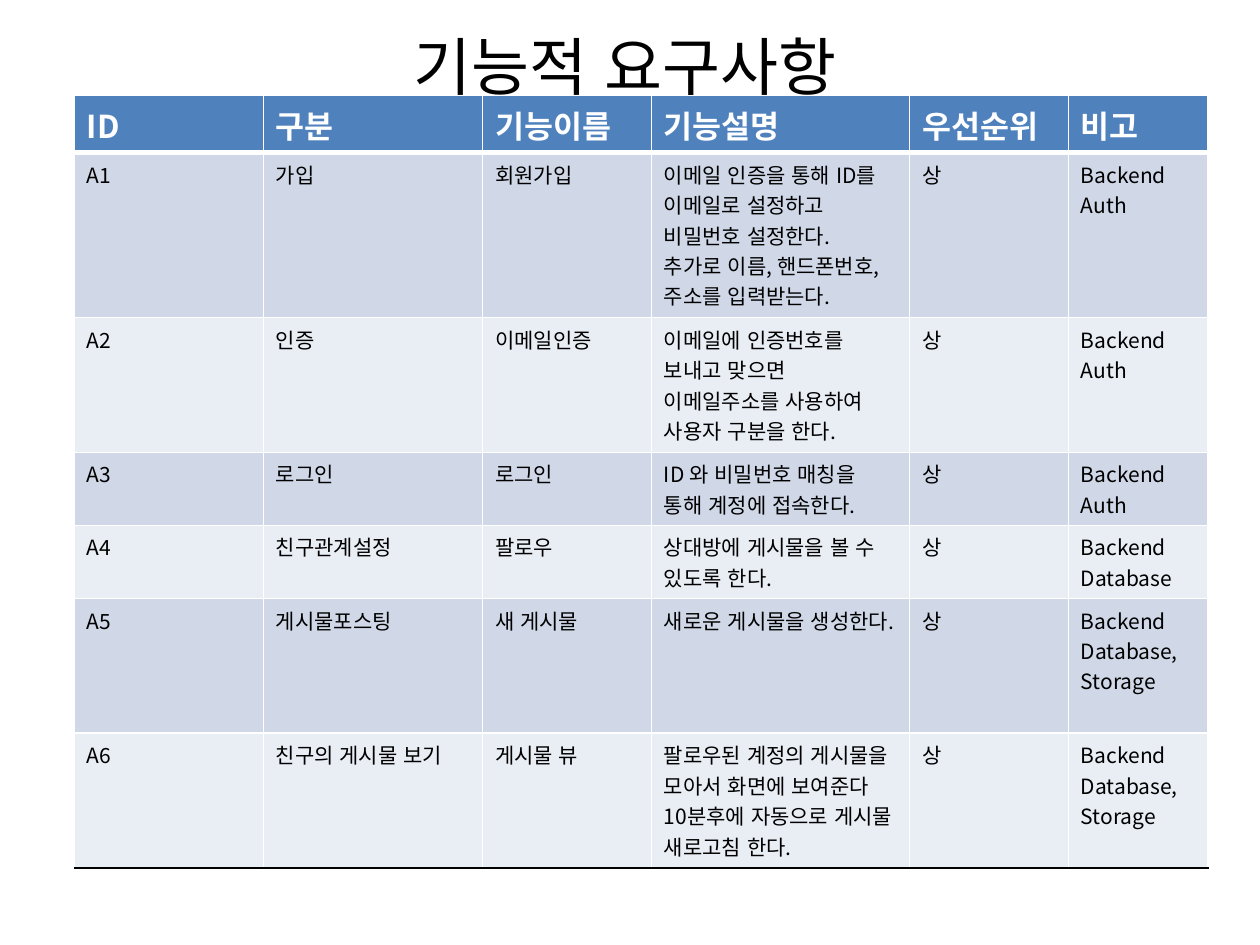
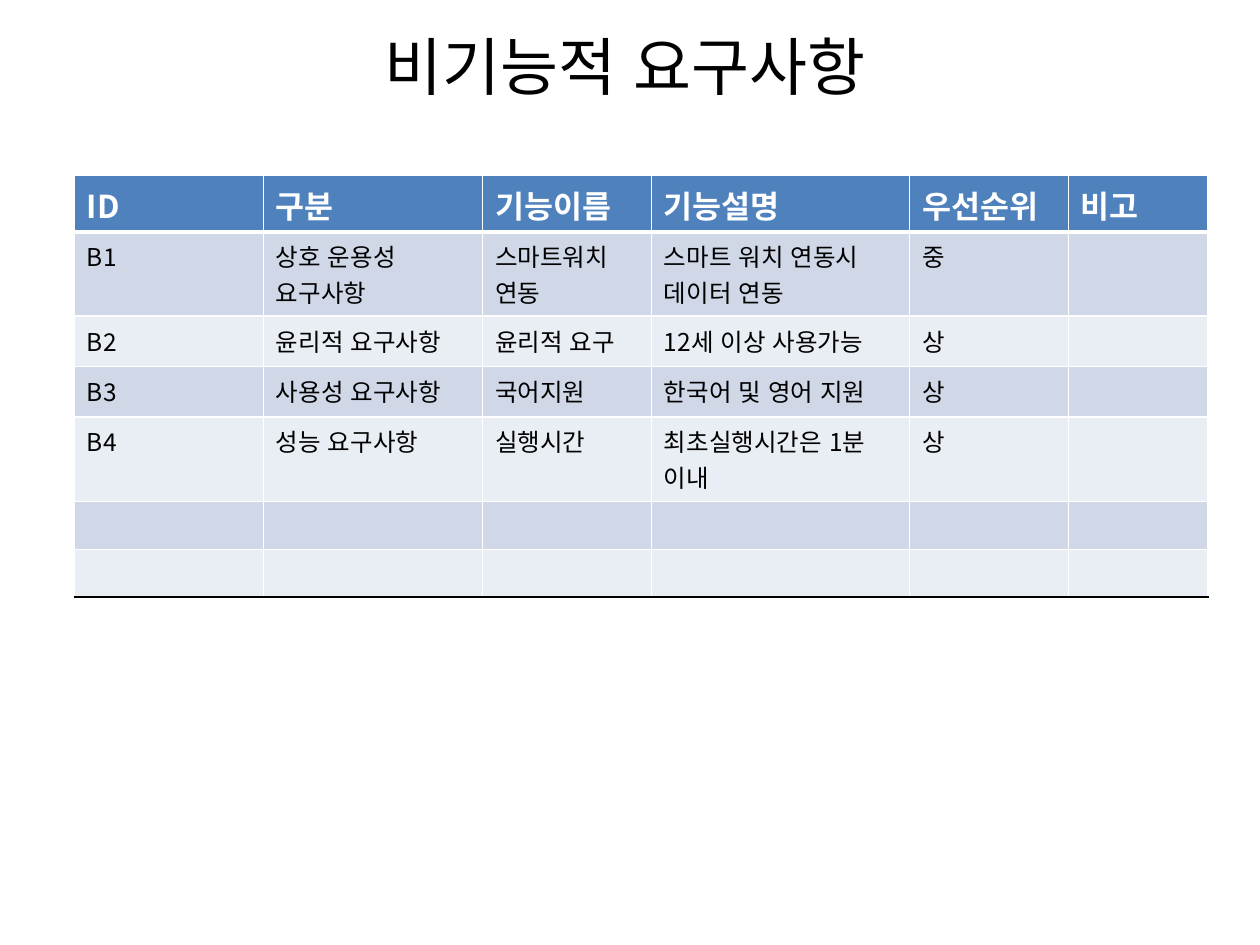
from dataclasses import dataclass

from lxml import etree
from pptx import Presentation
from pptx.dml.color import RGBColor
from pptx.enum.lang import MSO_LANGUAGE_ID
from pptx.enum.text import MSO_ANCHOR, PP_ALIGN
from pptx.oxml.ns import qn
from pptx.util import Inches, Pt

CENTER, MIDDLE = PP_ALIGN.CENTER, MSO_ANCHOR.MIDDLE
KOREAN = MSO_LANGUAGE_ID.KOREAN

# Content: a line break inside a cell starts a new paragraph
COLUMNS = [("ID", 1.5), ("구분", 1.74), ("기능이름", 1.34),
           ("기능설명", 2.05), ("우선순위", 1.26), ("비고", 1.11)]
HEADER_HEIGHT = 0.45

FUNCTIONAL = {
    "title": "기능적 요구사항", "top": 0.76, "size": 12,
    "rows": [
        (1.31, "A1", "가입", "회원가입",
         "이메일 인증을 통해 ID를 이메일로 설정하고 비밀번호 설정한다.\n"
         "추가로 이름, 핸드폰번호, 주소를 입력받는다.", "상", "Backend Auth"),
        (1.07, "A2", "인증", "이메일인증",
         "이메일에 인증번호를 보내고 맞으면 이메일주소를 사용하여 사용자 구분을 한다.",
         "상", "Backend Auth"),
        (0.58, "A3", "로그인", "로그인",
         "ID 와 비밀번호 매칭을 통해 계정에 접속한다.", "상", "Backend Auth"),
        (0.58, "A4", "친구관계설정", "팔로우",
         "상대방에 게시물을 볼 수 있도록 한다.", "상", "Backend Database"),
        (1.07, "A5", "게시물포스팅", "새 게시물",
         "새로운 게시물을 생성한다.", "상", "Backend Database,\nStorage"),
        (1.07, "A6", "친구의 게시물 보기", "게시물 뷰",
         "팔로우된 계정의 게시물을 모아서 화면에 보여준다\n"
         "10분후에 자동으로 게시물 새로고침 한다.",
         "상", "Backend Database,\nStorage"),
    ],
}
NON_FUNCTIONAL = {
    "title": "비기능적 요구사항", "top": 1.39, "size": 14,
    "rows": [
        (0.67, "B1", "상호 운용성 요구사항", "스마트워치 연동",
         "스마트 워치 연동시 데이터 연동", "중", ""),
        (0.4, "B2", "윤리적 요구사항", "윤리적 요구", "12세 이상 사용가능", "상", ""),
        (0.4, "B3", "사용성 요구사항", "국어지원", "한국어 및 영어 지원", "상", ""),
        (0.67, "B4", "성능 요구사항", "실행시간", "최초실행시간은 1분 이내", "상", ""),
        (0.38, *[""] * 6),
        (0.38, *[""] * 6),
    ],
}


@dataclass(frozen=True)
class Theme:
    font: str = "Noto Sans CJK KR"
    ink: str = "000000"
    paper: str = "FFFFFF"
    header: str = "4F81BD"
    bands: tuple = ("D0D8E8", "E9EDF4")
    title_size: int = 36
    header_size: int = 18
    thin: int = 1
    thick: int = 3


THEME = Theme()
LEFT = 0.59


def write(paragraph, text, size, color, bold=False):
    """Put text in a paragraph; an empty one only keeps its type size."""
    if not text:
        end = etree.SubElement(paragraph._p, qn("a:endParaRPr"), sz=str(size * 100))
        for script in ("a:latin", "a:ea"):
            etree.SubElement(end, qn(script), typeface=THEME.font)
        return
    run = paragraph.add_run()
    run.text = text
    style = {"size": Pt(size), "bold": bold, "name": THEME.font, "language_id": KOREAN}
    for attribute, value in style.items():
        setattr(run.font, attribute, value)
    run.font.color.rgb = RGBColor.from_string(color)
    etree.SubElement(run._r.get_or_add_rPr(), qn("a:ea"), typeface=THEME.font)


def add_title(slide, text):
    frame = slide.shapes.add_textbox(
        Inches(LEFT), Inches(0.04), Inches(8.74), Inches(0.96)).text_frame
    frame.word_wrap = True
    frame.vertical_anchor = MIDDLE
    frame.paragraphs[0].alignment = CENTER
    write(frame.paragraphs[0], text, THEME.title_size, THEME.ink)


def set_borders(cell, top, bottom):
    """Draw the four edges; top and bottom are (colour, points)."""
    side = (THEME.paper, THEME.thin)
    edges = {"a:lnL": side, "a:lnR": side, "a:lnT": top, "a:lnB": bottom}
    properties = cell._tc.get_or_add_tcPr()
    for tag, (color, width) in edges.items():
        line = etree.SubElement(properties, qn(tag), w=str(Pt(width)))
        fill = etree.SubElement(line, qn("a:solidFill"))
        etree.SubElement(fill, qn("a:srgbClr"), val=color)


def add_requirements(slide, top, size, rows):
    labels, widths = zip(*COLUMNS)
    lines = [(HEADER_HEIGHT, *labels), *rows]
    table = slide.shapes.add_table(
        len(lines), len(labels), Inches(LEFT), Inches(top),
        Inches(sum(widths)), Inches(sum(line[0] for line in lines))).table
    for column, width in zip(table.columns, widths):
        column.width = Inches(width)

    # Rule i lies above row i; the last one closes the table
    rules = [(THEME.paper, THEME.thin)] * len(lines) + [(THEME.ink, THEME.thin)]
    rules[1] = (THEME.paper, THEME.thick)

    for i, (height, *texts) in enumerate(lines):
        table.rows[i].height = Inches(height)
        if i == 0:
            fill, style = THEME.header, (THEME.header_size, THEME.paper, True)
        else:
            fill, style = THEME.bands[(i - 1) % 2], (size, THEME.ink)
        for j, text in enumerate(texts):
            cell = table.cell(i, j)
            set_borders(cell, rules[i], rules[i + 1])
            cell.fill.solid()
            cell.fill.fore_color.rgb = RGBColor.from_string(fill)
            frame = cell.text_frame
            for n, part in enumerate(text.split("\n")):
                paragraph = frame.add_paragraph() if n else frame.paragraphs[0]
                write(paragraph, part, *style)


def main():
    deck = Presentation()
    deck.slide_width, deck.slide_height = Inches(10), Inches(7.5)
    for page in (FUNCTIONAL, NON_FUNCTIONAL):
        slide = deck.slides.add_slide(deck.slide_layouts[6])
        add_title(slide, page["title"])
        add_requirements(slide, page["top"], page["size"], page["rows"])
    deck.save("out.pptx")


if __name__ == "__main__":
    main()
